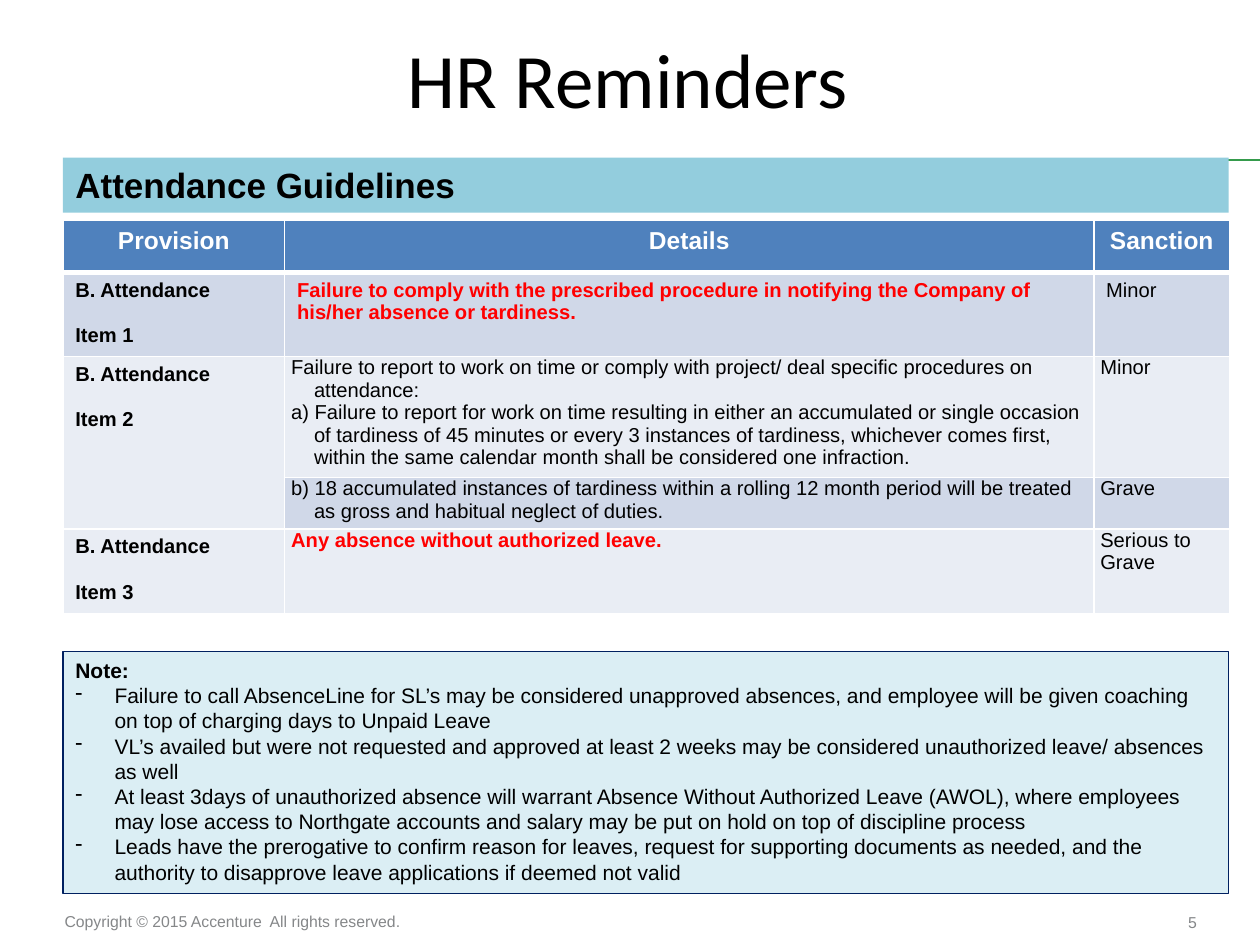
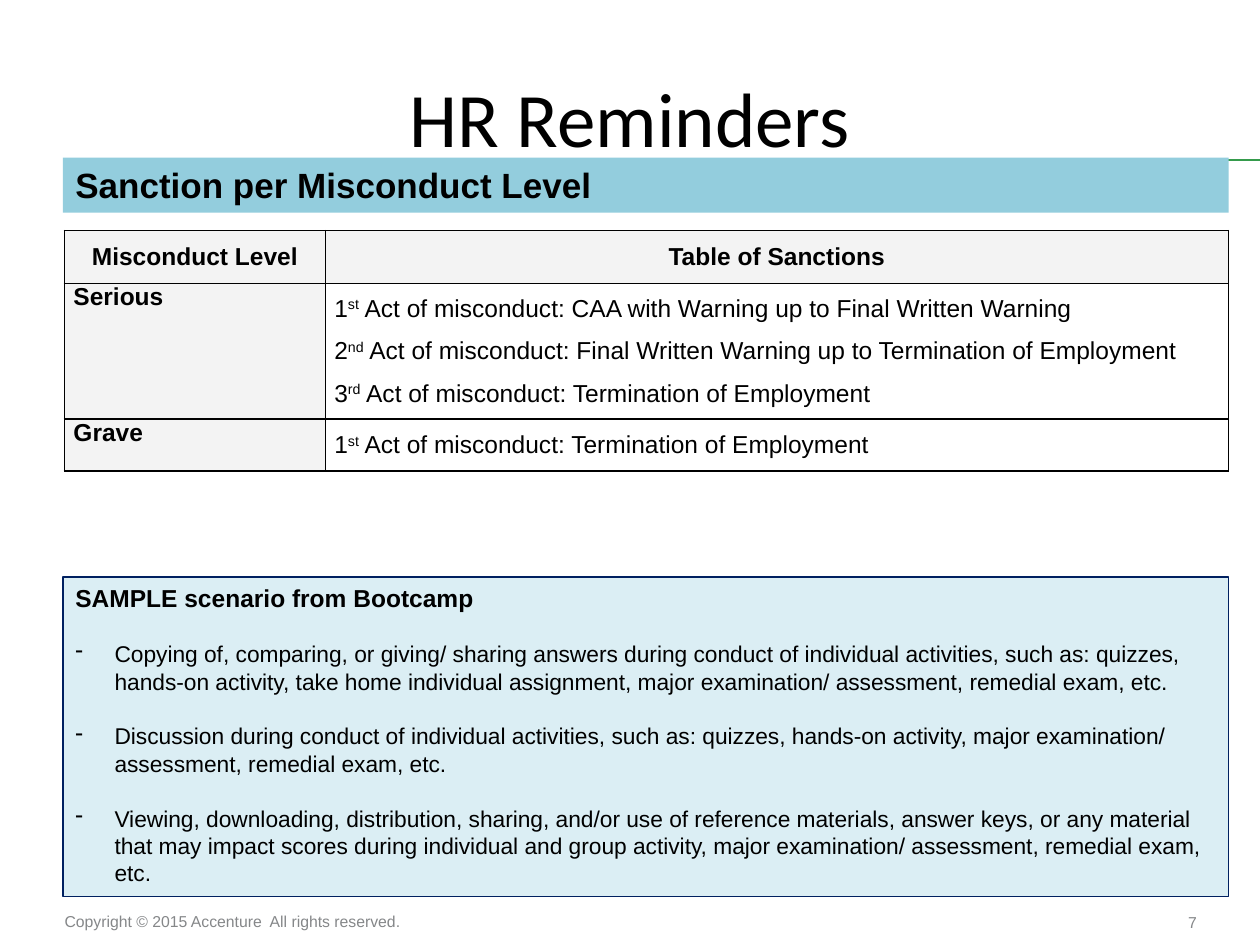
from dataclasses import dataclass

from lxml import etree
from pptx import Presentation
from pptx import util as u
from pptx.dml import color
from pptx.enum import shapes, text
from pptx.oxml import ns

INK, WHITE, RED, GRAY = "000000", "FFFFFF", "FF0000", "858789"
BAND, NOTE, NAVY, GREEN = "93CDDD", "DBEEF4", "002060", "359B4C"
HEAD, DARK, PALE, SHADE = "4F81BD", "D0D8E8", "E9EDF4", "F3F3F3"
LEFT, WIDE = 1.27, 23.5
TOP, MID = text.MSO_ANCHOR.TOP, text.MSO_ANCHOR.MIDDLE
CENTER, RIGHT = text.PP_ALIGN.CENTER, text.PP_ALIGN.RIGHT
PADS = (0.25, 0.13, 0.25, 0.13)
TIGHT = (0.13, 0, 0.13, 0)
SLIM = (0.18, 0, 0.18, 0)


@dataclass
class Para:
    """Hold one paragraph; words between carets are raised."""
    words: str
    size: float = 11.5
    bold: bool = False
    tint: str = INK
    align: object = None
    hang: float = 0
    mark: str = ""
    before: float = 0
    face: str = "Arial"


def rgb(code):
    """Turn a hex string into a colour."""
    return color.RGBColor.from_string(code)


def box(*sides):
    """Turn centimetres into lengths."""
    return [u.Cm(side) for side in sides]


def write(frame, paras):
    """Put paragraphs into a text frame, run by run."""
    for i, item in enumerate(paras):
        para = frame.paragraphs[0] if i == 0 else frame.add_paragraph()
        if item.hang:
            props = para._p.get_or_add_pPr()
            props.set("marL", str(u.Cm(item.hang)))
            props.set("indent", str(-u.Cm(item.hang)))
            if item.mark:
                etree.SubElement(props, ns.qn("a:buChar")).set("char", item.mark)
        if item.align:
            para.alignment = item.align
        if item.before:
            para.space_before = u.Pt(item.before)
        for j, part in enumerate(item.words.split("^")):
            run = para.add_run()
            run.text = part
            font = run.font
            font.name, font.size, font.bold = item.face, u.Pt(item.size), item.bold
            font.color.rgb = rgb(item.tint)
            if j % 2:
                run._r.get_or_add_rPr().set("baseline", "30000")


def label(slide, area, para, pads=PADS, anchor=MID):
    """Add a text box with one paragraph."""
    frame = slide.shapes.add_textbox(*box(*area)).text_frame
    frame.word_wrap = True
    frame.vertical_anchor = anchor
    (frame.margin_left, frame.margin_top,
     frame.margin_right, frame.margin_bottom) = box(*pads)
    write(frame, [para])


def panel(slide, area, paras, fill, edge=None):
    """Add a filled rectangle with text from its top."""
    shape = slide.shapes.add_shape(shapes.MSO_SHAPE.RECTANGLE, *box(*area))
    shape.shadow.inherit = False
    shape.fill.solid()
    shape.fill.fore_color.rgb = rgb(fill)
    if edge:
        shape.line.color.rgb = rgb(edge)
        shape.line.width = u.Pt(0.75)
    else:
        shape.line.fill.background()
    frame = shape.text_frame
    frame.word_wrap = True
    frame.vertical_anchor = TOP
    for para in paras:
        para.align = text.PP_ALIGN.LEFT
    write(frame, paras)


def rule(slide):
    """Draw the green line behind the band."""
    line = slide.shapes.add_connector(
        shapes.MSO_CONNECTOR.STRAIGHT, *box(LEFT, 3.23, 25.4, 3.23))
    line.line.color.rgb = rgb(GREEN)
    line.line.width = u.Pt(1)
    etree.SubElement(line._element.spPr, ns.qn("a:effectLst"))


def base(deck, title, area, topic, page):
    """Start a slide with title, band and footer."""
    slide = deck.slides.add_slide(deck.slide_layouts[6])
    label(slide, (1.24, 18.26, 7.14, 0.64),
          Para("Copyright © 2015 Accenture  All rights reserved.", 9,
               tint=GRAY, align=CENTER), (0, 0.13, 0.25, 0.13), TOP)
    rule(slide)
    label(slide, (22.63, 18.24, 1.5, 0.69),
          Para(page, 9, tint=GRAY, align=RIGHT), (0, 0, 0, 0))
    label(slide, area, Para(title, 44, align=CENTER, face="Calibri"))
    panel(slide, (LEFT, 3.18, WIDE, 1.11), [Para(topic, 20, True)], BAND)
    return slide


def grid(slide, left, top, cols, rows):
    """Add a plain table with the given column and row sizes."""
    table = slide.shapes.add_table(
        len(rows), len(cols), *box(left, top, sum(cols), sum(rows))).table
    table.first_row = table.horz_banding = False
    for col, size in zip(table.columns, cols):
        col.width = u.Cm(size)
    for row, size in zip(table.rows, rows):
        row.height = u.Cm(size)
    return table


def dress(cell, edge, fill=None, thick=()):
    """Set the borders and fill of a cell."""
    props = cell._tc.get_or_add_tcPr()
    for side in "LRTB":
        line = etree.SubElement(props, ns.qn("a:ln" + side))
        line.set("w", str(u.Pt(3 if side in thick else 1)))
        solid = etree.SubElement(line, ns.qn("a:solidFill"))
        etree.SubElement(solid, ns.qn("a:srgbClr")).set("val", edge)
    if fill:
        cell.fill.solid()
        cell.fill.fore_color.rgb = rgb(fill)
    else:
        cell.fill.background()


def put(cell, paras, pads=PADS, anchor=TOP):
    """Write text into a cell with its margins."""
    (cell.margin_left, cell.margin_top,
     cell.margin_right, cell.margin_bottom) = box(*pads)
    cell.vertical_anchor = anchor
    write(cell.text_frame, paras)


def rules(slide, left, top):
    """Build the table of attendance provisions."""
    table = grid(slide, left, top, (4.47, 16.31, 2.74),
                 (1.04, 1.7, 2.43, 1.04, 1.7))
    fills = (HEAD, DARK, PALE, DARK, PALE)
    for i, fill in enumerate(fills):
        for j in range(3):
            tone = PALE if (i, j) == (3, 0) else fill
            dress(table.cell(i, j), WHITE, tone, {0: "B", 1: "T"}.get(i, ""))
    table.cell(2, 0).merge(table.cell(3, 0))
    for j, name in enumerate(("Provision", "Details", "Sanction")):
        put(table.cell(0, j), [Para(name, 14, True, WHITE, CENTER)])
    for i, item in ((1, "Item 1"), (2, "Item 2"), (4, "Item 3")):
        put(table.cell(i, 0), [Para("B. Attendance", bold=True),
                               Para(item, bold=True, before=13)])
    put(table.cell(1, 1), [Para(
        "Failure to comply with the prescribed procedure in notifying the "
        "Company of his/her absence or tardiness.", bold=True, tint=RED)])
    put(table.cell(2, 1), [Para(line, hang=0.46) for line in (
        "Failure to report to work on time or comply with project/ deal "
        "specific procedures on attendance:",
        "a) Failure to report for work on time resulting in either an "
        "accumulated or single occasion of tardiness of 45 minutes or every "
        "3 instances of tardiness, whichever comes first, within the same "
        "calendar month shall be considered one infraction.")], TIGHT)
    put(table.cell(3, 1), [Para(
        "b) 18 accumulated instances of tardiness within a rolling 12 month "
        "period will be treated as gross and habitual neglect of duties.",
        hang=0.46)], TIGHT)
    put(table.cell(4, 1), [Para("Any absence without authorized leave.",
                                bold=True, tint=RED, hang=0.46)], TIGHT)
    levels = ("Minor", "Minor", "Grave", "Serious to Grave")
    for i, level in enumerate(levels, 1):
        put(table.cell(i, 2), [Para(level)], PADS if i == 1 else TIGHT)


def acts(slide, left, top):
    """Build the table of sanctions per level."""
    table = grid(slide, left, top, (5.26, 18.2), (1.06, 2.74, 1.04))
    for i in range(3):
        for j in range(2):
            dress(table.cell(i, j), INK, SHADE if i == 0 or j == 0 else None)
    for j, name in enumerate(("Misconduct Level", "Table of Sanctions")):
        put(table.cell(0, j), [Para(name, 14, True, align=CENTER)], SLIM, MID)
    levels = {
        "Serious": ("1^st^ Act of misconduct: CAA with Warning up to Final "
                    "Written Warning",
                    "2^nd^ Act of misconduct: Final Written Warning up to "
                    "Termination of Employment",
                    "3^rd^ Act of misconduct: Termination of Employment"),
        "Grave": ("1^st^ Act of misconduct: Termination of Employment",),
    }
    for i, (level, lines) in enumerate(levels.items(), 1):
        put(table.cell(i, 0), [Para(level, 14, True)], SLIM)
        put(table.cell(i, 1), [Para(line, 14, before=8.5 if k else 0)
                               for k, line in enumerate(lines)], SLIM, MID)


def notes(slide, area, head, lines, sizes, gap=0):
    """Build the boxed list with its bold heading."""
    paras = [Para(head, sizes[0], True)]
    paras += [Para(line, sizes[1], hang=0.79, mark="-", before=gap)
              for line in lines]
    panel(slide, area, paras, NOTE, NAVY)


def first(deck):
    """Build the attendance slide."""
    slide = base(deck, "HR Reminders", (LEFT, 0.48, 22.78, 2.18),
                 "Attendance Guidelines", "5")
    rules(slide, LEFT, 4.45)
    notes(slide, (LEFT, 13.13, WIDE, 4.88), "Note:", (
        "Failure to call AbsenceLine for SL’s may be considered unapproved "
        "absences, and employee will be given coaching on top of charging "
        "days to Unpaid Leave",
        "VL’s availed but were not requested and approved at least 2 weeks "
        "may be considered unauthorized leave/ absences as well",
        "At least 3days of unauthorized absence will warrant Absence Without "
        "Authorized Leave (AWOL), where employees may lose access to "
        "Northgate accounts and salary may be put on hold on top of "
        "discipline process",
        "Leads have the prerogative to confirm reason for leaves, request "
        "for supporting documents as needed, and the authority to disapprove "
        "leave applications if deemed not valid"), (12, 12))


def second(deck):
    """Build the sanctions slide."""
    slide = base(deck, "HR Reminders", (LEFT, 0.76, 22.86, 3.18),
                 "Sanction per Misconduct Level", "7")
    acts(slide, 1.3, 4.65)
    notes(slide, (LEFT, 11.63, WIDE, 6.45), "SAMPLE scenario from Bootcamp", (
        "Copying of, comparing, or giving/ sharing answers during conduct of "
        "individual activities, such as: quizzes, hands-on activity, take "
        "home individual assignment, major examination/ assessment, remedial "
        "exam, etc.",
        "Discussion during conduct of individual activities, such as: "
        "quizzes, hands-on activity, major examination/ assessment, remedial "
        "exam, etc.",
        "Viewing, downloading, distribution, sharing, and/or use of reference "
        "materials, answer keys, or any material that may impact scores "
        "during individual and group activity, major examination/ "
        "assessment, remedial exam, etc."), (14, 13), 15.7)


def main():
    """Build and save the deck."""
    deck = Presentation()
    deck.slide_width, deck.slide_height = box(25.4, 19.05)
    first(deck)
    second(deck)
    deck.save("out.pptx")


if __name__ == "__main__":
    main()
